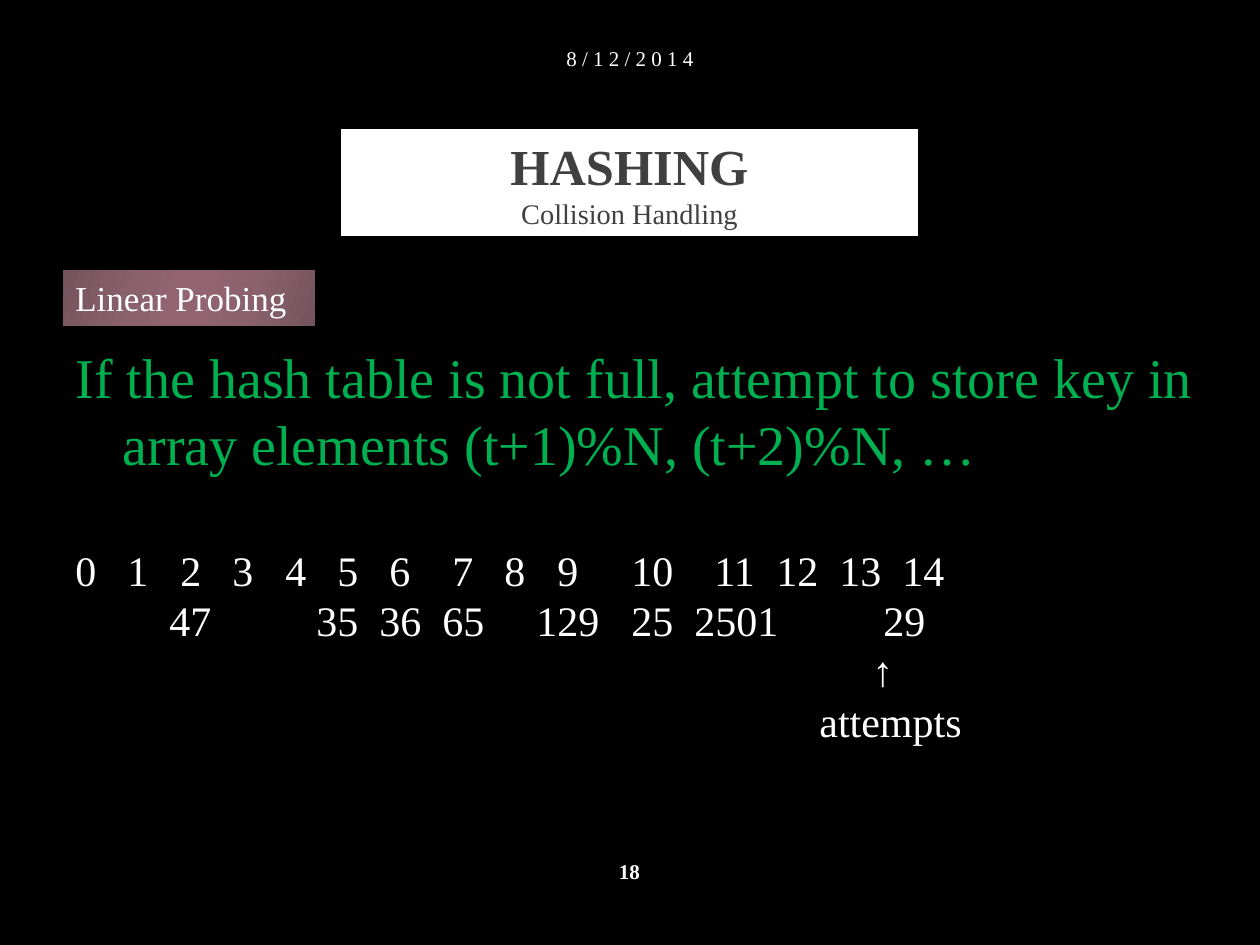
import copy
import dataclasses
import pptx
import pptx.util
import pptx.dml.color
import pptx.enum.shapes
import pptx.enum.text
import pptx.oxml
import pptx.oxml.ns

ALIGN = pptx.enum.text.PP_ALIGN
ANCHOR = pptx.enum.text.MSO_ANCHOR
EMU = 914400 / 126
LEFT = 76


@dataclasses.dataclass(frozen=True)
class Theme:
    font: str = "Times New Roman"
    back: str = "000000"
    white: str = "FFFFFF"
    dark: str = "404040"
    green: str = "00B050"
    fade: tuple = ((0, "75545E"), (30, "8A616D"), (45, "926472"),
                   (55, "926472"), (73, "8A616D"), (100, "75545E"))
    head: float = 28.8
    sub: float = 16.2
    label: float = 20
    rule: float = 32
    cell: float = 24
    small: float = 12


THEME = Theme()
KEYS = list(zip(
    (76, 128, 181, 233, 286, 338, 390, 453, 505, 558, 632, 715, 777, 840, 903),
    map(str, range(15))))
SLOTS = [(170, "47"), (317, "35"), (380, "36"), (443, "65"), (537, "129"),
         (632, "25"), (695, "2501"), (884, "29")]
ROWS = [KEYS, SLOTS, [(873, "↑")], [(820, "attempts")]]


def px(n):
    return pptx.util.Emu(round(n * EMU))


def rgb(code):
    return pptx.dml.color.RGBColor.from_string(code)


def node(text):
    space = pptx.oxml.ns.nsdecls("a")
    return pptx.oxml.parse_xml(text.replace(">", f" {space}>", 1))


def place(shape, x, y, w, h):
    shape.left, shape.top, shape.width, shape.height = map(px, (x, y, w, h))


def setup(shape, anchor):
    frame = shape.text_frame
    frame.word_wrap = True
    frame.auto_size = pptx.enum.text.MSO_AUTO_SIZE.NONE
    frame.vertical_anchor = anchor
    return frame


def write(para, text, size, color, bold=False):
    run = para.add_run()
    run.text = text
    font = run.font
    font.name, font.size, font.bold = THEME.font, pptx.util.Pt(size), bold
    font.color.rgb = rgb(color)
    return run


def note(slide, box, text, bold=False, gap=None):
    shape = slide.shapes.add_textbox(*map(px, box))
    para = setup(shape, ANCHOR.MIDDLE).paragraphs[0]
    para.alignment = ALIGN.CENTER
    run = write(para, text, THEME.small, THEME.white, bold)
    if gap:
        run.font._element.set("spc", str(gap * 100))
    return shape.text_frame


def title(slide):
    shape = slide.shapes.title
    place(shape, 346, 134, 567, 97)
    shape.fill.solid()
    shape.fill.fore_color.rgb = rgb(THEME.white)
    shape.line.color.rgb = rgb(THEME.white)
    shape.line.width = pptx.util.Pt(6)
    shape.line._get_or_add_ln().append(node('<a:miter lim="800000"></a:miter>'))
    para = setup(shape, ANCHOR.MIDDLE).paragraphs[0]
    para.alignment = ALIGN.CENTER
    para.space_before = pptx.util.Pt(4)
    run = write(para, "HASHING", THEME.head, THEME.dark, True)
    para.add_line_break()
    para._p[-1].append(copy.deepcopy(run.font._element))
    write(para, "Collision Handling", THEME.sub, THEME.dark)


def label(slide):
    kind = pptx.enum.shapes.MSO_SHAPE.RECTANGLE
    shape = slide.shapes.add_shape(kind, *map(px, (63, 270, 252, 56)))
    shape.shadow.inherit = False
    shape.line.fill.background()
    stops = "".join(f'<a:gs pos="{pos * 1000}"><a:srgbClr val="{code}"/></a:gs>'
                    for pos, code in THEME.fade)
    fill = node(f'<a:gradFill rotWithShape="1"><a:gsLst>{stops}</a:gsLst>'
                f'<a:lin ang="{16 * 60000}" scaled="0"/></a:gradFill>')
    shape._element.spPr.find(pptx.oxml.ns.qn("a:prstGeom")).addnext(fill)
    para = setup(shape, ANCHOR.TOP).paragraphs[0]
    para.alignment = ALIGN.LEFT
    write(para, "Linear Probing", THEME.label, THEME.white)


def rule(slide):
    shape = slide.placeholders[1]
    place(shape, 63, 336, 1166, 150)
    para = setup(shape, ANCHOR.TOP).paragraphs[0]
    para.space_before = pptx.util.Pt(0)
    props = para._p.get_or_add_pPr()
    props.set("marL", str(px(47)))
    props.set("indent", str(px(-47)))
    props.append(node("<a:buNone></a:buNone>"))
    write(para, "If the hash table is not full, attempt to store key in "
          "array elements (t+1)%N, (t+2)%N, …", THEME.rule, THEME.green)


def row(para, cells):
    tabs = "".join(f'<a:tab pos="{px(x - LEFT)}" algn="l"/>'
                   for x, _ in cells if x > LEFT)
    para._p.get_or_add_pPr().append(node(f"<a:tabLst>{tabs}</a:tabLst>"))
    text = "".join(("\t" if x > LEFT else "") + word for x, word in cells)
    write(para, text, THEME.cell, THEME.white)


def table(slide):
    shape = slide.shapes.add_textbox(*map(px, (63, 538, 1166, 286)))
    frame = setup(shape, ANCHOR.TOP)
    for i, cells in enumerate(ROWS):
        row(frame.add_paragraph() if i else frame.paragraphs[0], cells)


def main():
    deck = pptx.Presentation()
    deck.slide_width, deck.slide_height = px(1260), px(945)
    slide = deck.slides.add_slide(deck.slide_layouts[1])
    back = slide.background.fill
    back.solid()
    back.fore_color.rgb = rgb(THEME.back)
    title(slide)
    note(slide, (411, 38, 438, 40), "8/12/2014", gap=3)
    page = note(slide, (556, 850, 147, 42), "18", bold=True)
    page.margin_left = page.margin_right = 0
    page.margin_top = page.margin_bottom = 0
    label(slide)
    rule(slide)
    table(slide)
    deck.save("out.pptx")


main()
